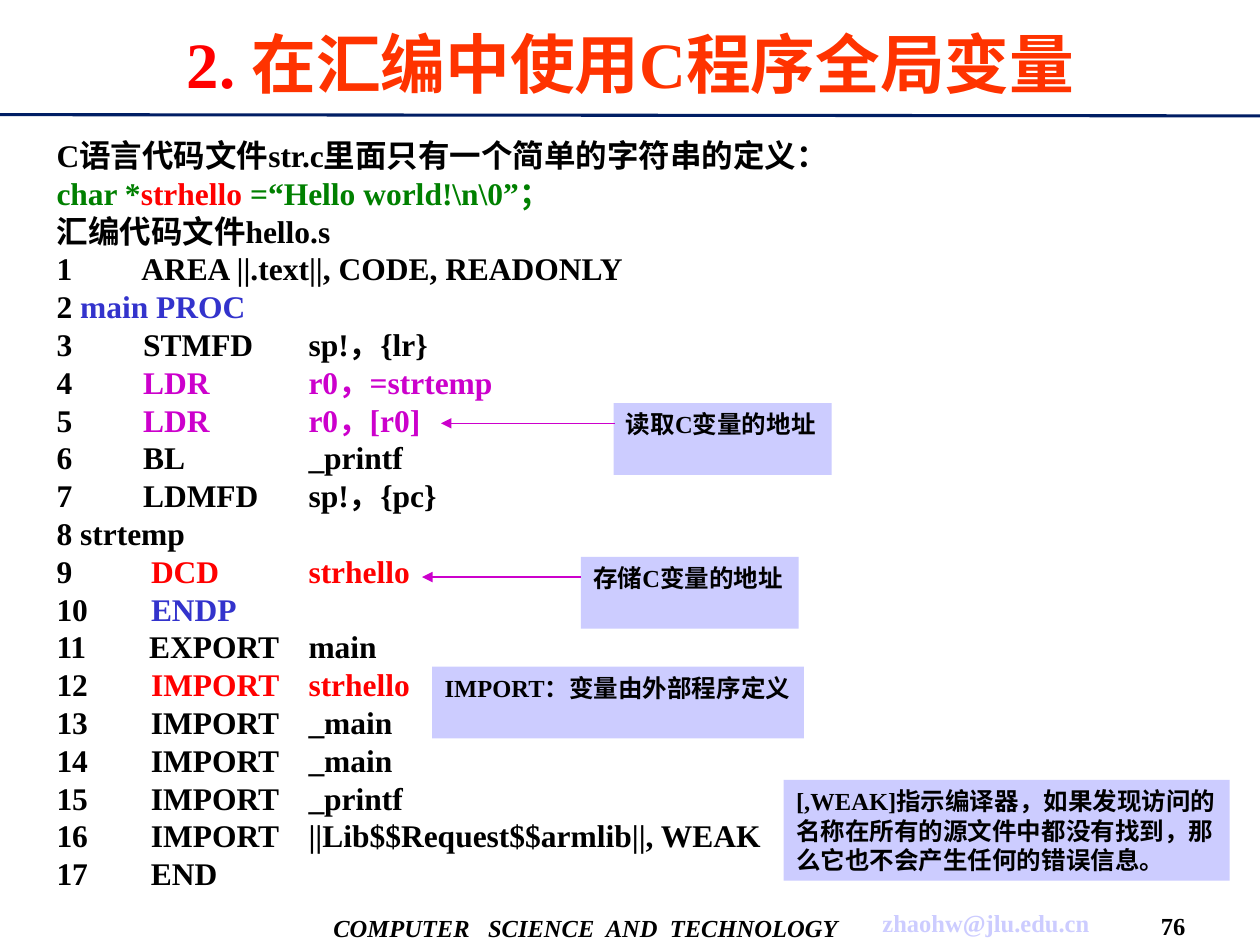
from typing import NamedTuple

import pptx
import pptx.dml.color
import pptx.enum.shapes
import pptx.enum.text
import pptx.oxml
import pptx.oxml.ns
import pptx.util
from pptx.util import Inches

FONT = "Times New Roman"
COLORS = {
    "black": "000000", "red": "FF0000", "orange": "FF3300", "green": "008000",
    "blue": "3333CC", "magenta": "CC00CC", "lavender": "CCCCFF", "navy": "001E64",
}
Piece = tuple[str, str]  # text, colour name


class Label(NamedTuple):
    text: str
    left: float
    top: float
    width: float
    height: float
    color: str = "black"
    italic: bool = False


class Line(NamedTuple):
    start: tuple[float, float]
    end: tuple[float, float]
    color: str
    weight: float
    arrow: bool = False


TITLE: list[Piece] = [("2. ", "red"), ("在汇编中使用C程序全局变量", "orange")]

LISTING: list[list[Piece]] = [
    [("C语言代码文件str.c里面只有一个简单的字符串的定义：", "black")],
    [("char *", "green"), ("strhello", "red"), (" =“Hello world!\\n\\0”；", "green")],
    [("汇编代码文件hello.s", "black")],
    [("1         AREA ||.text||, CODE, READONLY", "black")],
    [("2 ", "black"), ("main PROC", "blue")],
    [("3         STMFD\tsp!，{lr}", "black")],
    [("4         ", "black"), ("LDR\tr0，=strtemp", "magenta")],
    [("5         ", "black"), ("LDR\tr0，[r0]", "magenta")],
    [("6         BL\t_printf", "black")],
    [("7         LDMFD\tsp!，{pc}", "black")],
    [("8 strtemp", "black")],
    [("9          ", "black"), ("DCD\tstrhello", "red")],
    [("10        ", "black"), ("ENDP", "blue")],
    [("11        EXPORT\tmain", "black")],
    [("12        ", "black"), ("IMPORT\tstrhello", "red")],
    [("13        IMPORT\t_main", "black")],
    [("14        IMPORT\t_main", "black")],
    [("15        IMPORT\t_printf", "black")],
    [("16        IMPORT\t||Lib$$Request$$armlib||, WEAK", "black")],
    [("17        END", "black")],
]

NOTES = [
    Label("[,WEAK]指示编译器，如果发现访问的名称在所有的源文件中都没有找到，"
          "那么它也不会产生任何的错误信息。", 6.22, 6.19, 3.54, 0.8),
    Label("IMPORT：变量由外部程序定义", 3.43, 5.29, 2.95, 0.57),
    Label("存储C变量的地址", 4.61, 4.42, 1.73, 0.57),
    Label("读取C变量的地址", 4.87, 3.2, 1.73, 0.57),
]

FOOTERS = [
    Label("COMPUTER   SCIENCE  AND  TECHNOLOGY", 2.55, 7.15, 4.2, 0.42, italic=True),
    Label("zhaohw@jlu.edu.cn", 6.92, 7.14, 1.81, 0.36, color="lavender"),
    Label("76", 9.09, 7.19, 0.44, 0.31),
]

LINES = [
    Line((0, 0.91), (10, 0.92), "navy", 1.75),
    Line((4.61, 4.58), (3.35, 4.58), "magenta", 0.75, arrow=True),
    Line((4.88, 3.36), (3.5, 3.36), "magenta", 0.75, arrow=True),
]


def rgb(name: str) -> pptx.dml.color.RGBColor:
    return pptx.dml.color.RGBColor.from_string(COLORS[name])


def write_pieces(paragraph, pieces: list[Piece], size: float, italic: bool = False) -> None:
    """Write coloured bold runs into a paragraph."""
    for text, color in pieces:
        run = paragraph.add_run()
        run.text = text
        run.font.name = FONT
        run.font.size = pptx.util.Pt(size)
        run.font.bold = True
        run.font.italic = italic
        run.font.color.rgb = rgb(color)


def add_tab_stop(paragraph, position: float) -> None:
    namespace = pptx.oxml.ns.nsdecls("a")
    paragraph._p.get_or_add_pPr().append(pptx.oxml.parse_xml(
        f'<a:tabLst {namespace}><a:tab pos="{Inches(position)}" algn="l"/></a:tabLst>'))


def write_title(slide) -> None:
    title = slide.shapes.title
    title.left, title.top = Inches(0.32), Inches(0.08)
    title.width, title.height = Inches(9.37), Inches(0.83)
    frame = title.text_frame
    frame.auto_size = pptx.enum.text.MSO_AUTO_SIZE.NONE
    frame.vertical_anchor = pptx.enum.text.MSO_ANCHOR.MIDDLE
    paragraph = frame.paragraphs[0]
    paragraph.alignment = pptx.enum.text.PP_ALIGN.CENTER
    write_pieces(paragraph, TITLE, 37)


def add_listing(slide) -> None:
    box = slide.shapes.add_textbox(Inches(0.35), Inches(1.03), Inches(9.21), Inches(6.1))
    frame = box.text_frame
    frame.word_wrap = True
    for index, pieces in enumerate(LISTING):
        paragraph = frame.add_paragraph() if index else frame.paragraphs[0]
        paragraph.line_spacing = pptx.util.Pt(21.6)
        add_tab_stop(paragraph, 2)
        write_pieces(paragraph, pieces, 18)


def add_note(slide, note: Label) -> None:
    shape = slide.shapes.add_shape(
        pptx.enum.shapes.MSO_SHAPE.RECTANGLE,
        Inches(note.left), Inches(note.top), Inches(note.width), Inches(note.height))
    shape.shadow.inherit = False
    shape.fill.solid()
    shape.fill.fore_color.rgb = rgb("lavender")
    shape.line.fill.background()
    frame = shape.text_frame
    frame.word_wrap = True
    frame.vertical_anchor = pptx.enum.text.MSO_ANCHOR.TOP
    paragraph = frame.paragraphs[0]
    paragraph.alignment = pptx.enum.text.PP_ALIGN.LEFT
    write_pieces(paragraph, [(note.text, note.color)], 14)


def add_footer(slide, footer: Label) -> None:
    """Add a centred one-line text, with no side margins so that it fits its box."""
    box = slide.shapes.add_textbox(
        Inches(footer.left), Inches(footer.top), Inches(footer.width), Inches(footer.height))
    frame = box.text_frame
    frame.word_wrap = False
    frame.margin_left = frame.margin_right = 0
    frame.vertical_anchor = pptx.enum.text.MSO_ANCHOR.MIDDLE
    paragraph = frame.paragraphs[0]
    paragraph.alignment = pptx.enum.text.PP_ALIGN.CENTER
    write_pieces(paragraph, [(footer.text, footer.color)], 14, footer.italic)


def add_line(slide, line: Line) -> None:
    connector = slide.shapes.add_connector(
        pptx.enum.shapes.MSO_CONNECTOR.STRAIGHT,
        *(Inches(value) for value in line.start + line.end))
    connector.line.color.rgb = rgb(line.color)
    connector.line.width = pptx.util.Pt(line.weight)
    namespace = pptx.oxml.ns.nsdecls("a")
    if line.arrow:
        connector.line._get_or_add_ln().append(
            pptx.oxml.parse_xml(f'<a:tailEnd {namespace} type="triangle"/>'))
    connector._element.spPr.append(pptx.oxml.parse_xml(f"<a:effectLst {namespace}/>"))


def main() -> None:
    presentation = pptx.Presentation()
    presentation.slide_width, presentation.slide_height = Inches(10), Inches(7.5)
    slide = presentation.slides.add_slide(presentation.slide_layouts.get_by_name("Title Only"))
    write_title(slide)
    add_listing(slide)
    for footer in FOOTERS:
        add_footer(slide, footer)
    for note in NOTES:
        add_note(slide, note)
    for line in LINES:
        add_line(slide, line)
    presentation.save("out.pptx")


if __name__ == "__main__":
    main()
